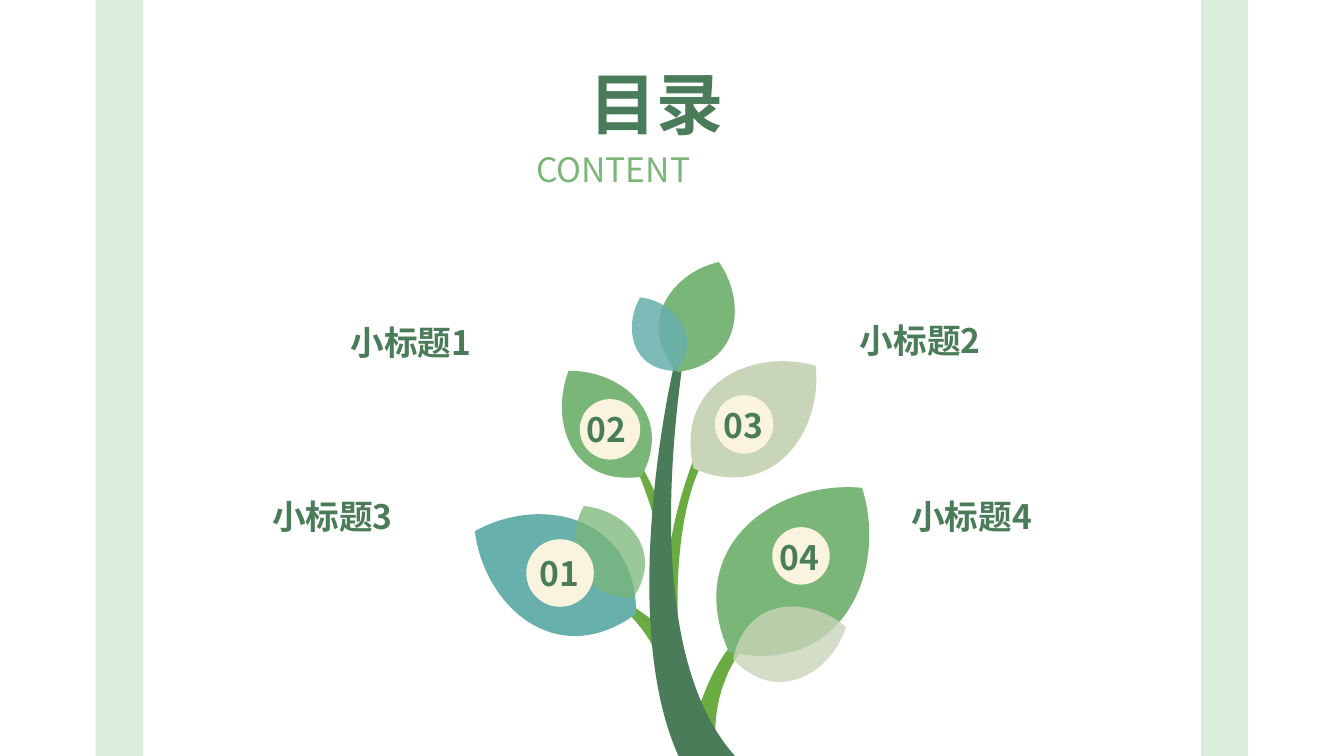
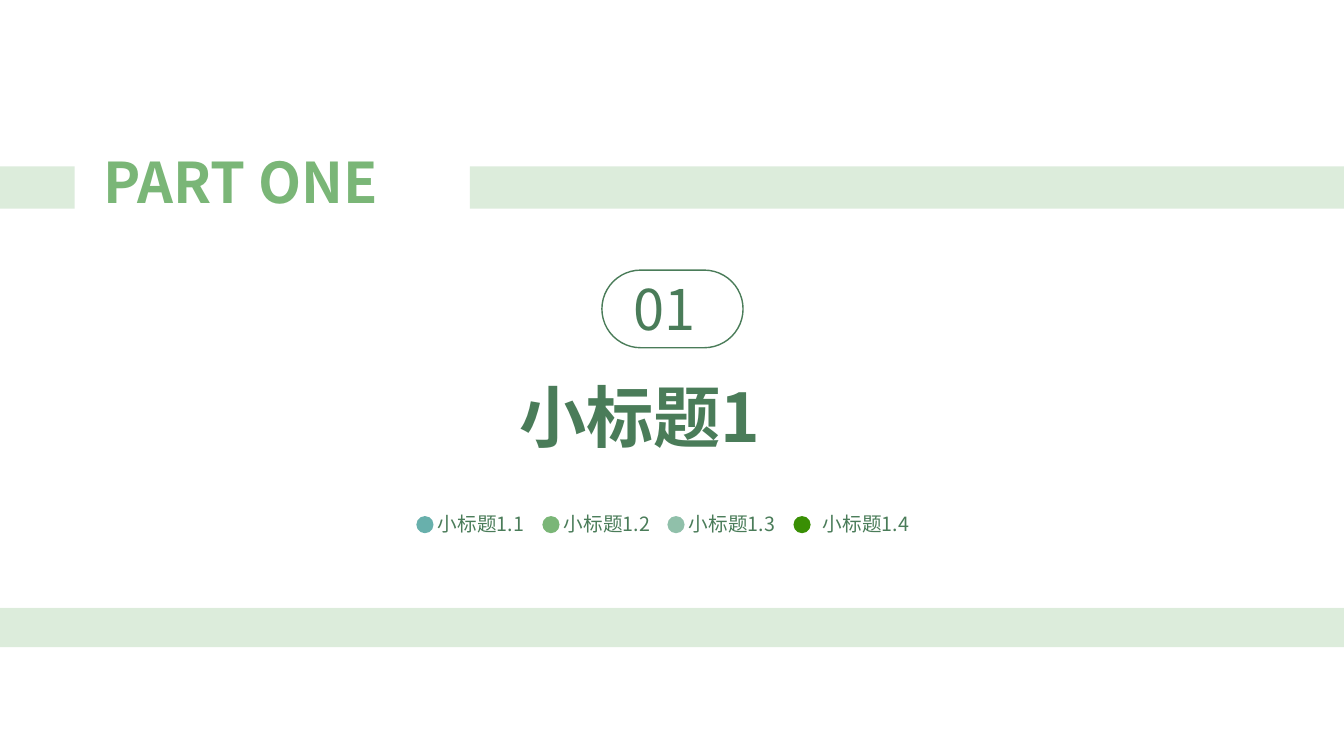
from pptx import Presentation
from pptx.dml.color import RGBColor
from pptx.enum.shapes import MSO_SHAPE
from pptx.enum.text import MSO_AUTO_SIZE, PP_ALIGN
from pptx.oxml.ns import qn
from pptx.util import Pt
from lxml.etree import SubElement

# Lengths are px, 100 to the inch
PX = 9144
WIDE, HIGH = 1333, 750
FONT = "Noto Sans CJK SC"
STEPS = 24

WHITE = RGBColor(0xFF, 0xFF, 0xFF)
DARK = RGBColor(0x4A, 0x7C, 0x59)
GREEN = RGBColor(0x7A, 0xB6, 0x77)
TEAL = RGBColor(0x68, 0xB0, 0xAC)
SAGE = RGBColor(0xC8, 0xD5, 0xB9)
MINT = RGBColor(0x90, 0xC0, 0xAA)
GRASS = RGBColor(0x39, 0x8F, 0x04)
CREAM = RGBColor(0xFA, 0xF4, 0xDE)

# Outline: colour, opacity, start, then lines (x, y) and curves (two handles, end)
STEMS = [
    (GRASS, 75, (710, 737), [(706, 692, 727, 650, 743, 638), (728, 638),
                             (704, 660, 687, 721, 687, 721),
                             (687, 721, 710, 737, 710, 737)]),
    (GRASS, 75, (674, 642), [(667, 562, 679, 490, 697, 459), (691, 448),
                             (683, 468, 662, 524, 662, 576)]),
    (GRASS, 75, (651, 523), [(642, 487, 631, 465, 631, 465), (635, 460),
                             (635, 460, 649, 484, 654, 500),
                             (654, 500, 651, 523, 651, 523)]),
    (GRASS, 75, (653, 656), [(646, 627, 616, 602, 616, 602), (616, 594),
                             (638, 607, 654, 621, 654, 621),
                             (654, 621, 653, 656, 653, 656)]),
    (DARK, 100, (677, 361), [(667, 435, 641, 652, 729, 750), (673, 750),
                             (616, 624, 659, 402, 669, 361),
                             (669, 361, 677, 361, 677, 361)]),
]
LEAVES = [
    (TEAL, 100, (471, 527), [(535, 491, 631, 510, 631, 609), (551, 667, 480, 600, 471, 527)]),
    (SAGE, 100, (809, 363), [(816, 427, 768, 499, 688, 465), (668, 380, 747, 345, 809, 363)]),
    (GREEN, 100, (564, 368), [(616, 367, 670, 411, 636, 473), (566, 483, 545, 417, 564, 368)]),
    (GREEN, 100, (713, 260), [(740, 298, 736, 361, 672, 369), (629, 321, 667, 270, 713, 260)]),
    (TEAL, 85, (635, 295), [(668, 299, 698, 332, 671, 368), (626, 368, 618, 324, 635, 295)]),
    (GREEN, 100, (855, 484), [(881, 566, 836, 672, 723, 647), (676, 541, 770, 476, 855, 484)]),
    (GREEN, 75, (579, 502), [(621, 506, 660, 546, 628, 593), (570, 594, 559, 539, 579, 502)]),
]
PETAL = (SAGE, 80, (839, 622), [(825, 667, 771, 701, 727, 654), (740, 591, 803, 591, 839, 622)])

# Badge: left, top, size of the disc, then left and top of its number
BADGES = [
    (522, 535, 67, 525, 544),
    (575, 396, 60, 572, 401),
    (709, 392, 58, 708, 397),
    (766, 523, 57, 763, 528),
]
TOPICS = [(338, 314), (843, 312), (260, 487), (894, 487)]
DOTS = [TEAL, GREEN, MINT, GRASS]


def paint(shape, color, alpha=100):
    """Flat fill, no line, no shadow."""
    shape.shadow.inherit = False
    shape.line.fill.background()
    shape.fill.solid()
    shape.fill.fore_color.rgb = color
    if alpha < 100:
        tint = shape._element.spPr.find(qn("a:solidFill"))[0]
        SubElement(tint, qn("a:alpha"), val=str(alpha * 1000))


def form(shapes, kind, x, y, w, h):
    return shapes.add_shape(kind, x * PX, y * PX, w * PX, h * PX)


def band(slide, x, y, w, h):
    paint(form(slide.shapes, MSO_SHAPE.RECTANGLE, x, y, w, h), GREEN, 26)


def card(slide, x, y, w, h):
    """White sheet between the bands."""
    sheet = form(slide.shapes, MSO_SHAPE.ROUNDED_RECTANGLE, x, y, w, h)
    sheet.adjustments[0] = 0
    paint(sheet, WHITE, 52)


def disc(shapes, x, y, size, color):
    paint(form(shapes, MSO_SHAPE.OVAL, x, y, size, size), color)


def pairs(part):
    return list(zip(part[::2], part[1::2]))


def curve(start, part):
    """Points along a cubic curve, without its start."""
    ends = [start] + pairs(part)
    for step in range(1, STEPS + 1):
        t = step / STEPS
        u = 1 - t
        mix = (u ** 3, 3 * u * u * t, 3 * u * t * t, t ** 3)
        yield tuple(sum(m * p[axis] for m, p in zip(mix, ends)) for axis in (0, 1))


def leaf(shapes, color, alpha, start, parts):
    # Sampled points give the frame
    points = [start]
    for part in parts:
        points.extend([part] if len(part) == 2 else curve(points[-1], part))
    dots = [(round(x * PX), round(y * PX)) for x, y in points]
    pen = shapes.build_freeform(*dots[0], scale=1.0)
    pen.add_line_segments(dots[1:])
    shape = pen.convert_to_shape()
    # True curves take the place of the samples
    trail = next(shape._element.iter(qn("a:path")))
    for node in list(trail):
        trail.remove(node)
    left, top = (min(axis) for axis in zip(*dots))
    for i, part in enumerate([start] + parts):
        tag = "cubicBezTo" if len(part) == 6 else "lnTo" if i else "moveTo"
        node = SubElement(trail, qn(f"a:{tag}"))
        for x, y in pairs(part):
            SubElement(node, qn("a:pt"), x=str(x * PX - left), y=str(y * PX - top))
    SubElement(trail, qn("a:close"))
    paint(shape, color, alpha)


def label(shapes, text, x, y, w, h, size, color=DARK, bold=True, align=PP_ALIGN.JUSTIFY):
    frame = shapes.add_textbox(x * PX, y * PX, w * PX, h * PX).text_frame
    frame.word_wrap = True
    frame.auto_size = MSO_AUTO_SIZE.SHAPE_TO_FIT_TEXT
    para = frame.paragraphs[0]
    para.alignment = align
    run = para.add_run()
    run.text = text
    font = run.font
    font.name, font.size, font.bold = FONT, Pt(size), bold
    font.color.rgb = color
    SubElement(run._r.get_or_add_rPr(), qn("a:ea"), typeface=FONT)


def plant(slide):
    group = slide.shapes.add_group_shape().shapes
    for outline in STEMS + LEAVES:
        leaf(group, *outline)
    for x, y, size, _, _ in reversed(BADGES):
        disc(group, x, y, size, CREAM)
    leaf(group, *PETAL)
    for num, (_, _, _, x, y) in enumerate(BADGES, 1):
        label(group, f"{num:02}", x, y, 62, 50, 24)


def contents(slide):
    # Side bands and sheet
    band(slide, 95, 0, 47, HIGH)
    card(slide, 142, 0, 1049, HIGH)
    band(slide, 1191, 0, 47, HIGH)
    plant(slide)
    # Topics and heading
    for num, (x, y) in enumerate(TOPICS, 1):
        label(slide.shapes, f"小标题{num}", x, y, 188, 50, 24)
    label(slide.shapes, "目录", 575, 57, 181, 91, 48)
    label(slide.shapes, "CONTENT", 522, 143, 287, 50, 24, GREEN, False)


def pill(slide, text):
    label(slide.shapes, text, 618, 267, 98, 77, 40, bold=False)
    ring = form(slide.shapes, MSO_SHAPE.ROUNDED_RECTANGLE, 597, 268, 140, 77)
    ring.adjustments[0] = 0.5
    ring.shadow.inherit = False
    ring.fill.background()
    ring.line.color.rgb = DARK
    ring.line.width = Pt(1)


def legend(slide):
    group = slide.shapes.add_group_shape().shapes
    for i, color in enumerate(DOTS):
        x = 413 + round(374 * i / 3)
        wide = 122 if color == DOTS[-1] else 106
        label(group, f"小标题1.{i + 1}", x + 11, 503, wide, 34, 14,
              bold=False, align=PP_ALIGN.CENTER)
        disc(group, x, 512, 17, color)


def section(slide):
    # Bands and sheet around the part name
    band(slide, 0, 603, WIDE, 39)
    card(slide, 0, 204, WIDE, 399)
    band(slide, 466, 165, WIDE - 466, 42)
    label(slide.shapes, "PART ONE", 93, 141, 343, 77, 40, GREEN)
    band(slide, 0, 165, 74, 42)
    # Title, number and parts
    label(slide.shapes, "小标题1", 505, 367, 324, 91, 48)
    pill(slide, "01")
    legend(slide)


def main():
    deck = Presentation()
    deck.slide_width, deck.slide_height = WIDE * PX, HIGH * PX
    for build in (contents, section):
        build(deck.slides.add_slide(deck.slide_layouts[6]))
    deck.save("out.pptx")


if __name__ == "__main__":
    main()
